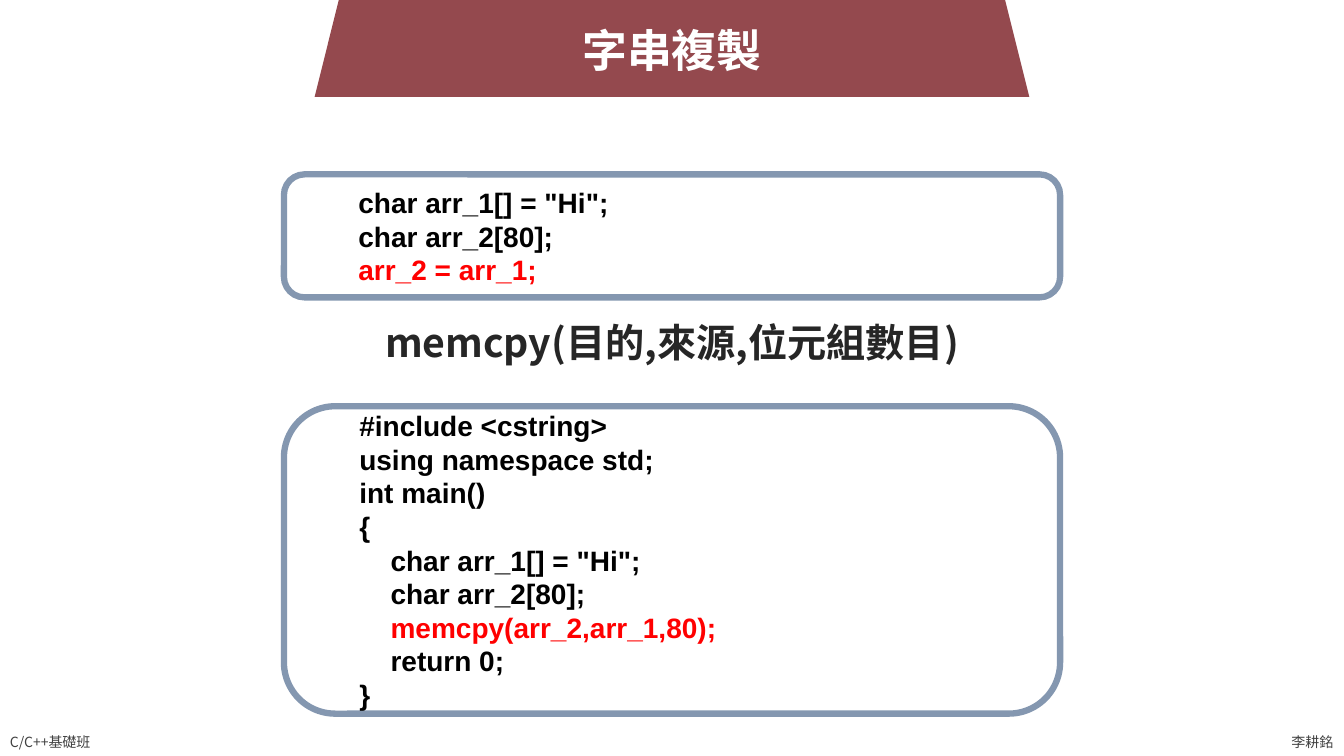
import dataclasses

import pptx
import pptx.dml.color
import pptx.enum.shapes
import pptx.enum.text
import pptx.oxml
import pptx.oxml.ns
import pptx.util

SHAPES = pptx.enum.shapes.MSO_SHAPE
ALIGN = pptx.enum.text.PP_ALIGN
ANCHOR = pptx.enum.text.MSO_ANCHOR
AUTO_SIZE = pptx.enum.text.MSO_AUTO_SIZE


@dataclasses.dataclass(frozen=True)
class Theme:
    banner: str = "94494E"
    border: str = "8497B0"
    paper: str = "FFFFFF"
    code: str = "000000"
    highlight: str = "FF0000"
    body: str = "262626"
    footer: str = "404040"
    text_font: str = "Noto Sans CJK TC"
    code_font: str = "Arial"
    title_size: int = 32
    body_size: int = 28
    code_size: int = 20
    footer_size: int = 10
    border_width: float = 4.5


class SlideBuilder:
    """Places elements on a grid of 40 columns and 30 rows."""

    columns, rows = 40, 30

    def __init__(self, presentation, theme):
        self.theme = theme
        self.column = presentation.slide_width / self.columns
        self.row = presentation.slide_height / self.rows
        self.slide = presentation.slides.add_slide(presentation.slide_layouts[6])

    def place(self, left, top, width, height):
        if left is None:  # centred on the slide
            left = (self.columns - width) / 2
        return (round(left * self.column), round(top * self.row),
                round(width * self.column), round(height * self.row))

    def add_styled_run(self, paragraph, text, size, color, font_name, bold):
        run = paragraph.add_run()
        run.text = text
        formats = {"size": pptx.util.Pt(size), "bold": bold, "name": font_name}
        for name, value in formats.items():
            setattr(run.font, name, value)
        run.font.color.rgb = pptx.dml.color.RGBColor.from_string(color)
        east_asian = pptx.oxml.parse_xml(
            f'<a:ea {pptx.oxml.ns.nsdecls("a")} typeface="{font_name}"/>')
        run.font._element.find(pptx.oxml.ns.qn("a:latin")).addnext(east_asian)

    def text(self, text, left, top, width, height, size, color, bold=False,
             frame_formats=None, paragraph_formats=None):
        box = self.slide.shapes.add_textbox(*self.place(left, top, width, height))
        for name, value in (frame_formats or {}).items():
            setattr(box.text_frame, name, value)
        paragraph = box.text_frame.paragraphs[0]
        for name, value in (paragraph_formats or {}).items():
            setattr(paragraph, name, value)
        self.add_styled_run(paragraph, text, size, color, self.theme.text_font, bold)

    def shape(self, kind, left, top, width, height, fill, border=None):
        shape = self.slide.shapes.add_shape(kind, *self.place(left, top, width, height))
        shape.shadow.inherit = False
        shape.fill.solid()
        shape.fill.fore_color.rgb = pptx.dml.color.RGBColor.from_string(fill)
        if border:
            shape.line.color.rgb = pptx.dml.color.RGBColor.from_string(border)
            shape.line.width = pptx.util.Pt(self.theme.border_width)
        else:
            shape.line.fill.background()
        return shape

    def code_box(self, top, height, base_indent, lines):
        """Each line is (text, nesting level, highlighted)."""
        theme = self.theme
        box = self.shape(SHAPES.ROUNDED_RECTANGLE, None, top, 23.1, height,
                         theme.paper, theme.border)
        frame = box.text_frame
        frame.word_wrap = True
        frame.vertical_anchor = ANCHOR.MIDDLE
        for index, (text, level, highlighted) in enumerate(lines):
            paragraph = frame.add_paragraph() if index else frame.paragraphs[0]
            paragraph.alignment = ALIGN.LEFT
            indent = pptx.util.Inches(base_indent + 0.31 * level)
            paragraph._p.get_or_add_pPr().set("marL", str(indent))
            color = theme.highlight if highlighted else theme.code
            self.add_styled_run(paragraph, text, theme.code_size, color,
                                theme.code_font, True)


def main():
    presentation = pptx.Presentation()
    presentation.slide_width = pptx.util.Inches(13.33)
    presentation.slide_height = pptx.util.Inches(7.5)
    theme = Theme()
    builder = SlideBuilder(presentation, theme)
    fitted = {"word_wrap": False, "auto_size": AUTO_SIZE.SHAPE_TO_FIT_TEXT}

    # Footer
    for text, left, width in (("C/C++基礎班", 0, 3.21), ("李耕銘", 38.14, 1.86)):
        builder.text(text, left, 28.92, width, 1.08, theme.footer_size,
                     theme.footer, frame_formats=fitted)

    # Title banner
    builder.shape(SHAPES.TRAPEZOID, None, -1.04, 21.27, 4.88, theme.banner)
    builder.text("字串複製", None, 0.72, 6, 2.56, theme.title_size, theme.paper, True,
                 fitted, {"alignment": ALIGN.CENTER})

    # Direct assignment
    builder.code_box(6.92, 4.88, 0.58, [
        ('char arr_1[] = "Hi";', 0, False),
        ("char arr_2[80];", 0, False),
        ("arr_2 = arr_1;", 0, True),
    ])

    # Copy with memcpy
    builder.code_box(16.12, 12.2, 0.5, [
        ("#include <cstring>", 0, False),
        ("using namespace std;", 0, False),
        ("int main()", 0, False),
        ("{", 0, False),
        ('char arr_1[] = "Hi";', 1, False),
        ("char arr_2[80];", 1, False),
        ("memcpy(arr_2,arr_1,80);", 1, True),
        ("return 0;", 1, False),
        ("}", 0, False),
    ])

    # Function signature
    builder.text("memcpy(目的,來源,位元組數目)", None, 12.64, 27, 2.68,
                 theme.body_size, theme.body, True, {"word_wrap": True},
                 {"alignment": ALIGN.CENTER, "line_spacing": 0.9,
                  "space_before": pptx.util.Pt(10)})

    presentation.save("out.pptx")


if __name__ == "__main__":
    main()
